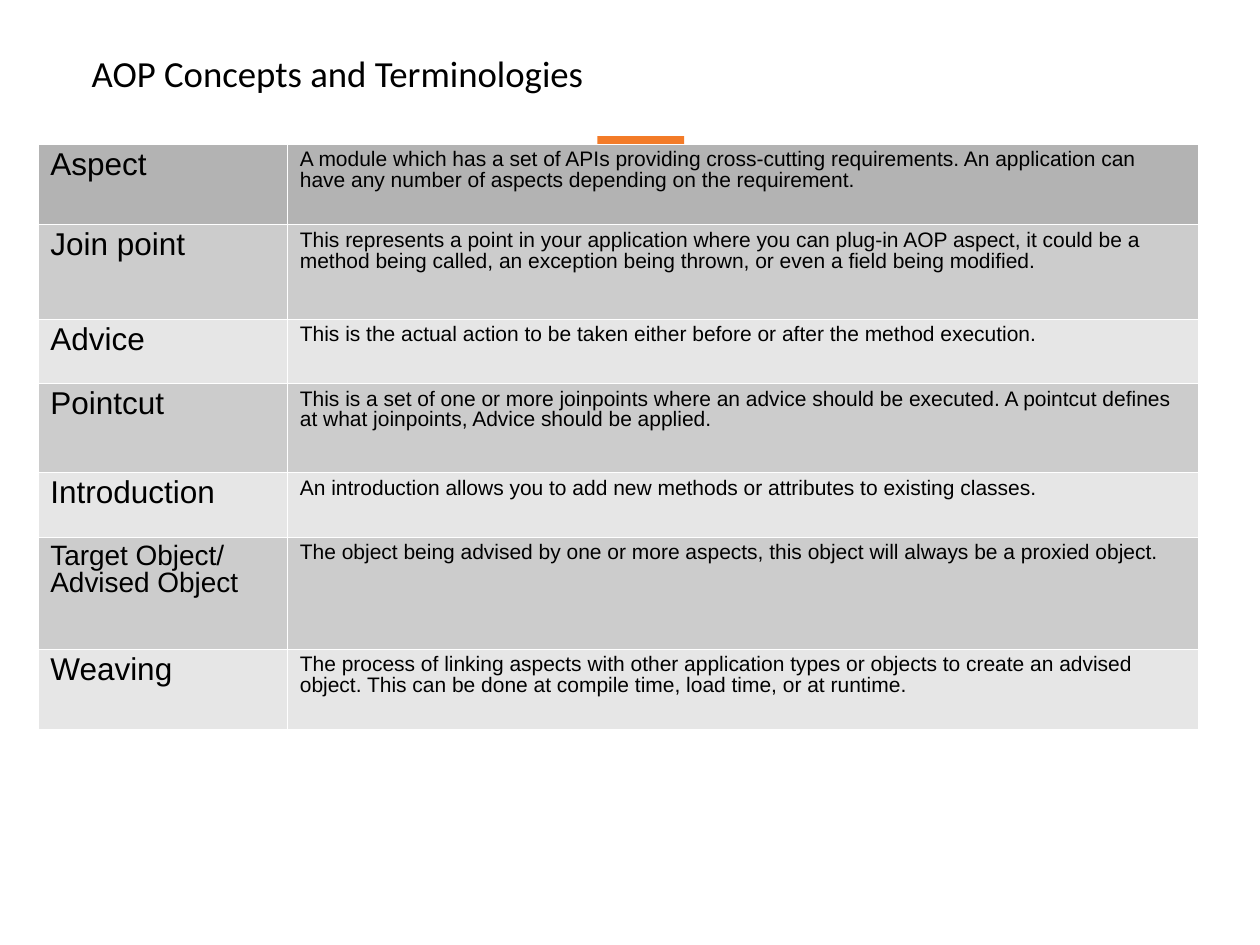
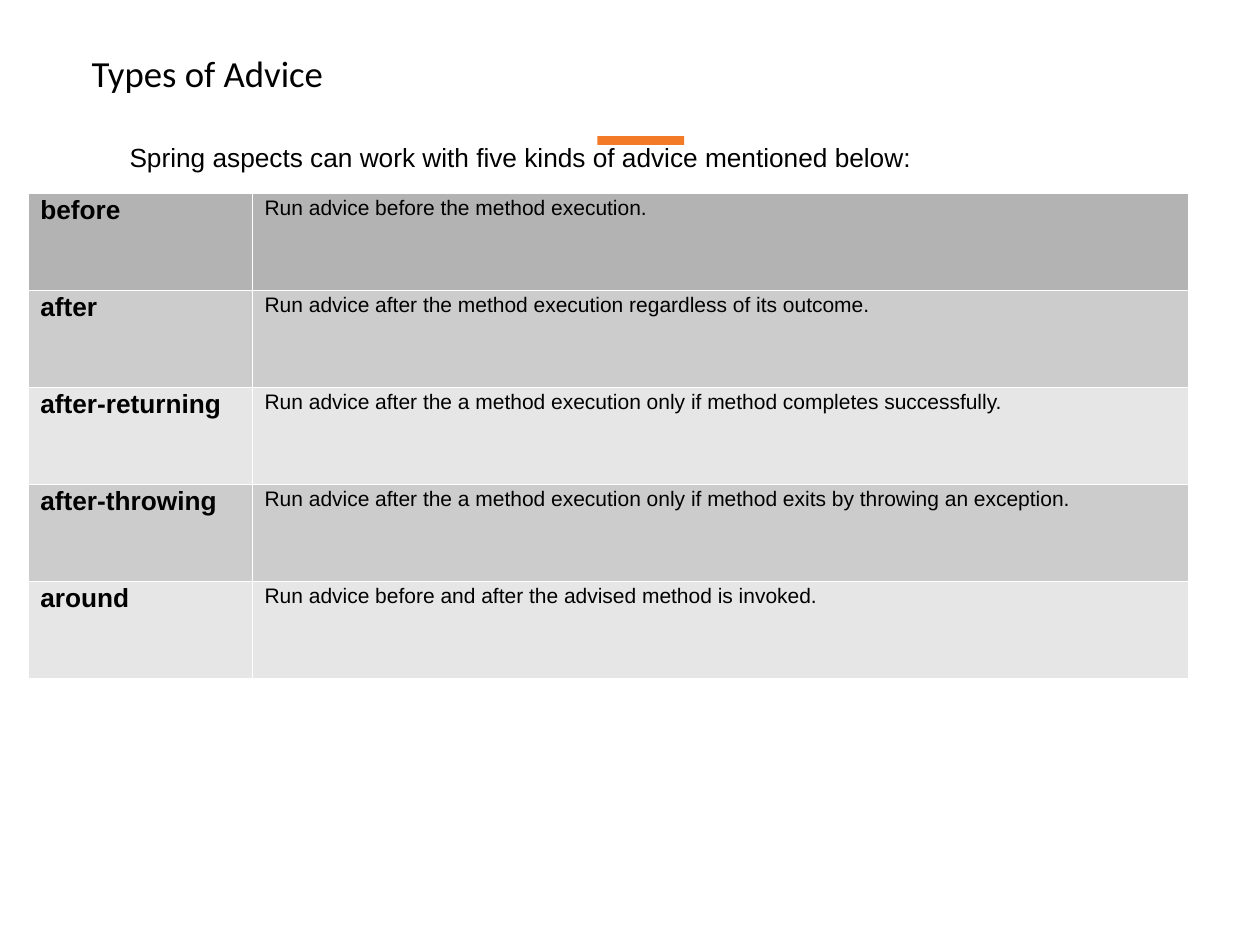
from dataclasses import dataclass

from lxml import etree
from pptx import Presentation
from pptx.dml.color import RGBColor
from pptx.enum.shapes import MSO_SHAPE
from pptx.oxml.ns import qn
from pptx.util import Inches, Pt

RECTANGLE = MSO_SHAPE.RECTANGLE
BLANK_LAYOUT = 6


@dataclass(frozen=True)
class Theme:
    ink: str = "000000"
    accent: str = "F37B28"
    border: str = "FFFFFF"
    first_row: str = "B3B3B3"
    bands: tuple = ("E6E6E6", "CCCCCC")
    title_font: str = "Calibri"
    body_font: str = "Arial"
    title_size: int = 21
    concept_size: int = 18
    long_concept_size: int = 16
    advice_size: int = 15
    meaning_size: int = 12
    line_spacing: float = 0.89
    border_width: float = 0.06


class Deck:
    def __init__(self, theme):
        self.theme = theme
        self.presentation = Presentation()
        self.presentation.slide_width = Inches(10)
        self.presentation.slide_height = Inches(7.5)
        self.slide = None

    def add_slide(self, title):
        layout = self.presentation.slide_layouts[BLANK_LAYOUT]
        self.slide = self.presentation.slides.add_slide(layout)
        self.add_accent()
        self.add_text(title, (0.63, 0.35, 8.9, 0.62), self.theme.title_size,
                      self.theme.title_font)

    def add_accent(self):
        accent = self.slide.shapes.add_shape(
            RECTANGLE, Inches(4.74), Inches(1.08), Inches(0.69), Inches(0.07))
        accent.shadow.inherit = False
        accent.fill.solid()
        accent.fill.fore_color.rgb = RGBColor.from_string(self.theme.accent)
        accent.line.fill.background()

    def add_text(self, text, box, size, font_name, wrap=True):
        frame = self.slide.shapes.add_textbox(*map(Inches, box)).text_frame
        frame.word_wrap = wrap
        self.style_text(frame, text, size, font_name)

    def style_text(self, frame, text, size, font_name, bold=False):
        frame.text = text
        font = frame.paragraphs[0].runs[0].font
        font.name = font_name
        font.size = Pt(size)
        font.bold = bold
        font.color.rgb = RGBColor.from_string(self.theme.ink)

    def add_glossary(self, entries, left, top, widths, heights, term_size, bold=False):
        glossary = self.slide.shapes.add_table(
            len(entries), len(widths), Inches(left), Inches(top),
            Inches(sum(widths)), Inches(sum(heights))).table
        glossary.first_row = False
        glossary.horz_banding = False
        for column, width in zip(glossary.columns, widths):
            column.width = Inches(width)
        for index, (term, meaning) in enumerate(entries):
            glossary.rows[index].height = Inches(heights[index])
            fill = self.theme.bands[index % 2] if index else self.theme.first_row
            self.fill_cell(glossary.cell(index, 0), term, term_size(term), fill, bold)
            self.fill_cell(glossary.cell(index, 1), meaning, self.theme.meaning_size, fill)

    def fill_cell(self, cell, text, size, fill, bold=False):
        self.style_text(cell.text_frame, text, size, self.theme.body_font, bold)
        cell.text_frame.paragraphs[0].line_spacing = self.theme.line_spacing
        cell.fill.solid()
        cell.fill.fore_color.rgb = RGBColor.from_string(fill)
        properties = cell._tc.get_or_add_tcPr()
        for position, edge in enumerate(("a:lnL", "a:lnR", "a:lnT", "a:lnB")):
            line = etree.Element(qn(edge), w=str(Pt(self.theme.border_width)))
            paint = etree.SubElement(line, qn("a:solidFill"))
            etree.SubElement(paint, qn("a:srgbClr"), val=self.theme.border)
            properties.insert(position, line)


CONCEPTS = [
    ("Aspect", "A module which has a set of APIs providing cross-cutting requirements. "
               "An application can have any number of aspects depending on the requirement."),
    ("Join point", "This represents a point in your application where you can plug-in AOP "
                   "aspect, it could be a method being called, an exception being thrown, "
                   "or even a field being modified."),
    ("Advice", "This is the actual action to be taken either before or after the method "
               "execution."),
    ("Pointcut", "This is a set of one or more joinpoints where an advice should be executed. "
                 "A pointcut defines at what joinpoints, Advice should be applied."),
    ("Introduction", "An introduction allows you to add new methods or attributes to "
                     "existing classes."),
    ("Target Object/ Advised Object", "The object being advised by one or more aspects, this "
                                      "object will always be a proxied object."),
    ("Weaving", "The process of linking aspects with other application types or objects to "
                "create an advised object. This can be done at compile time, load time, or at "
                "runtime."),
]

ADVICE_TYPES = [
    ("before", "Run advice before the method execution."),
    ("after", "Run advice after the method execution regardless of its outcome."),
    ("after-returning", "Run advice after the a method execution only if method completes "
                        "successfully."),
    ("after-throwing", "Run advice after the a method execution only if method exits by "
                       "throwing an exception."),
    ("around", "Run advice before and after the advised method is invoked."),
]


def main():
    theme = Theme()
    deck = Deck(theme)

    deck.add_slide("AOP Concepts and Terminologies")
    deck.add_glossary(
        CONCEPTS, 0.3, 1.14, (1.98, 7.23), (0.64, 0.75, 0.51, 0.71, 0.51, 0.89, 0.64),
        lambda term: theme.long_concept_size if "/" in term else theme.concept_size)

    deck.add_slide("Types of Advice")
    deck.add_glossary(
        ADVICE_TYPES, 0.22, 1.53, (1.78, 7.43), [0.77] * len(ADVICE_TYPES),
        lambda term: theme.advice_size, bold=True)
    deck.add_text("Spring aspects can work with five kinds of advice mentioned below:",
                  (0.93, 1.07, 6.44, 0.76), theme.advice_size, theme.body_font, wrap=False)

    deck.presentation.save("out.pptx")


if __name__ == "__main__":
    main()
